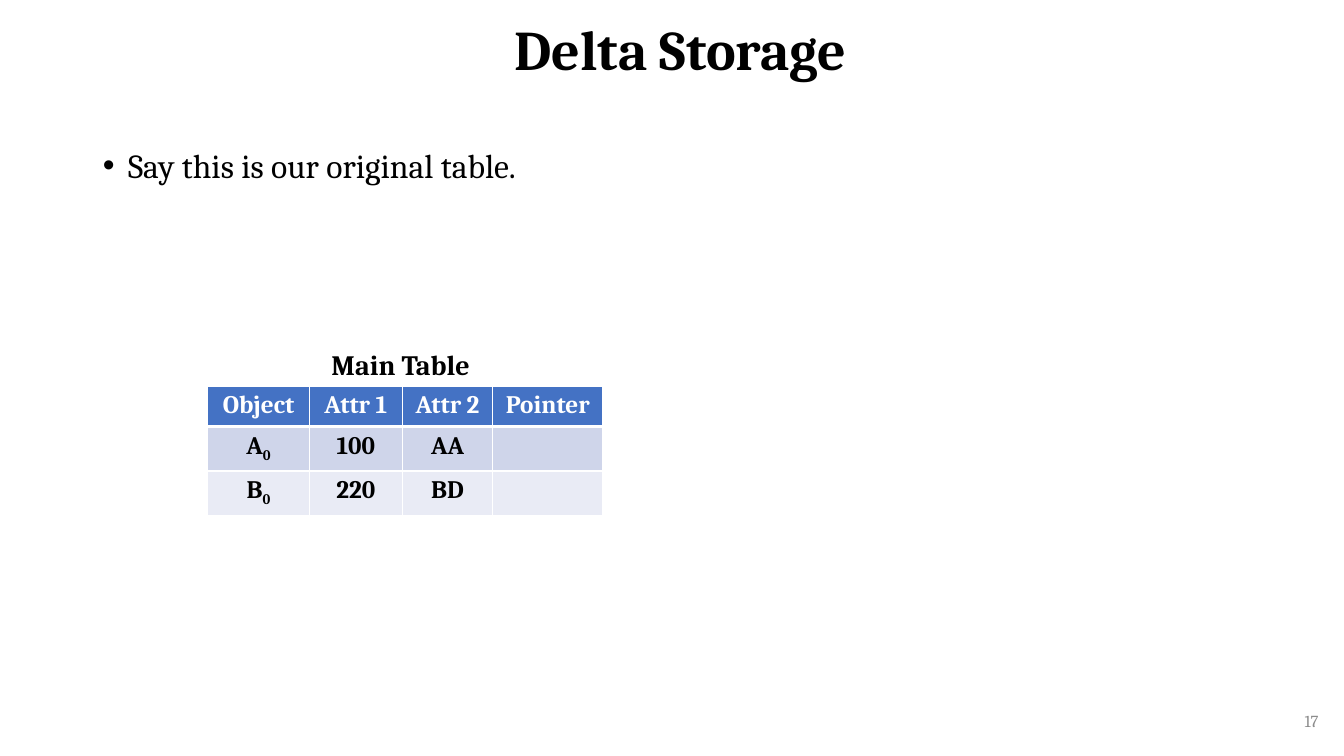
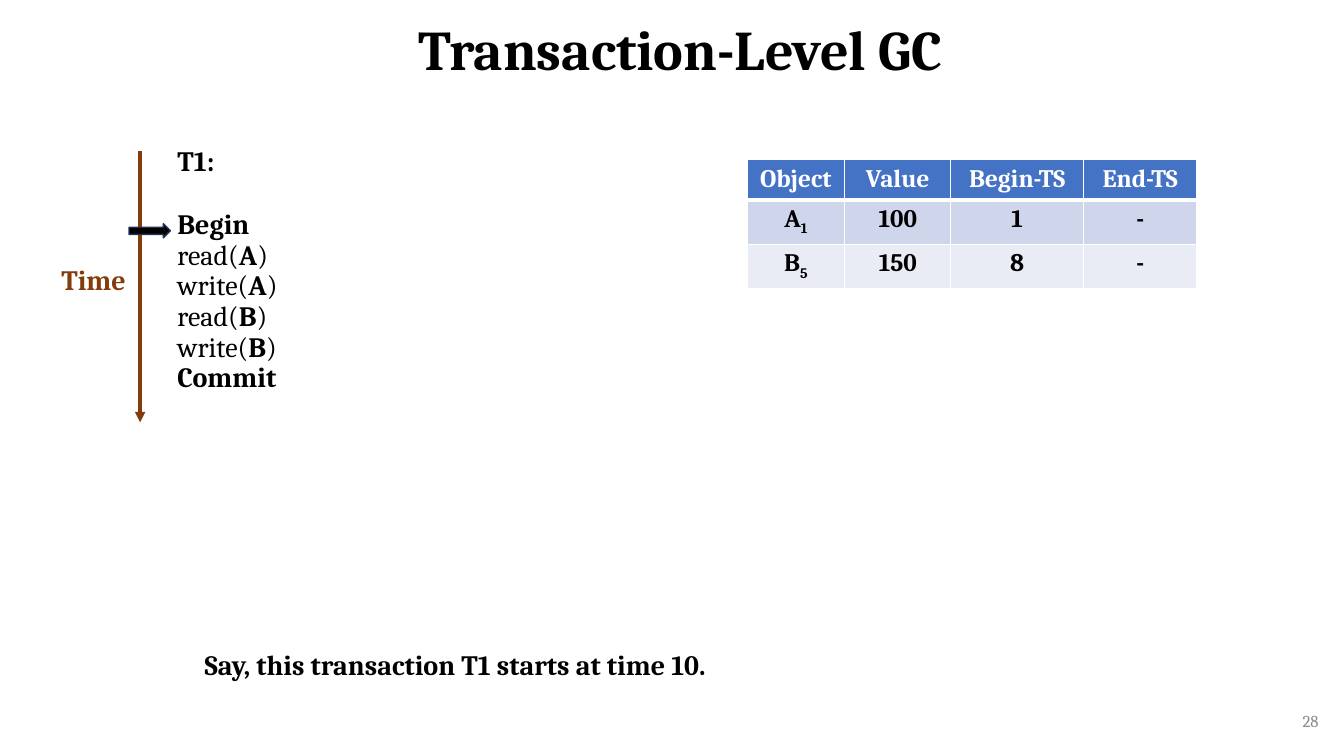
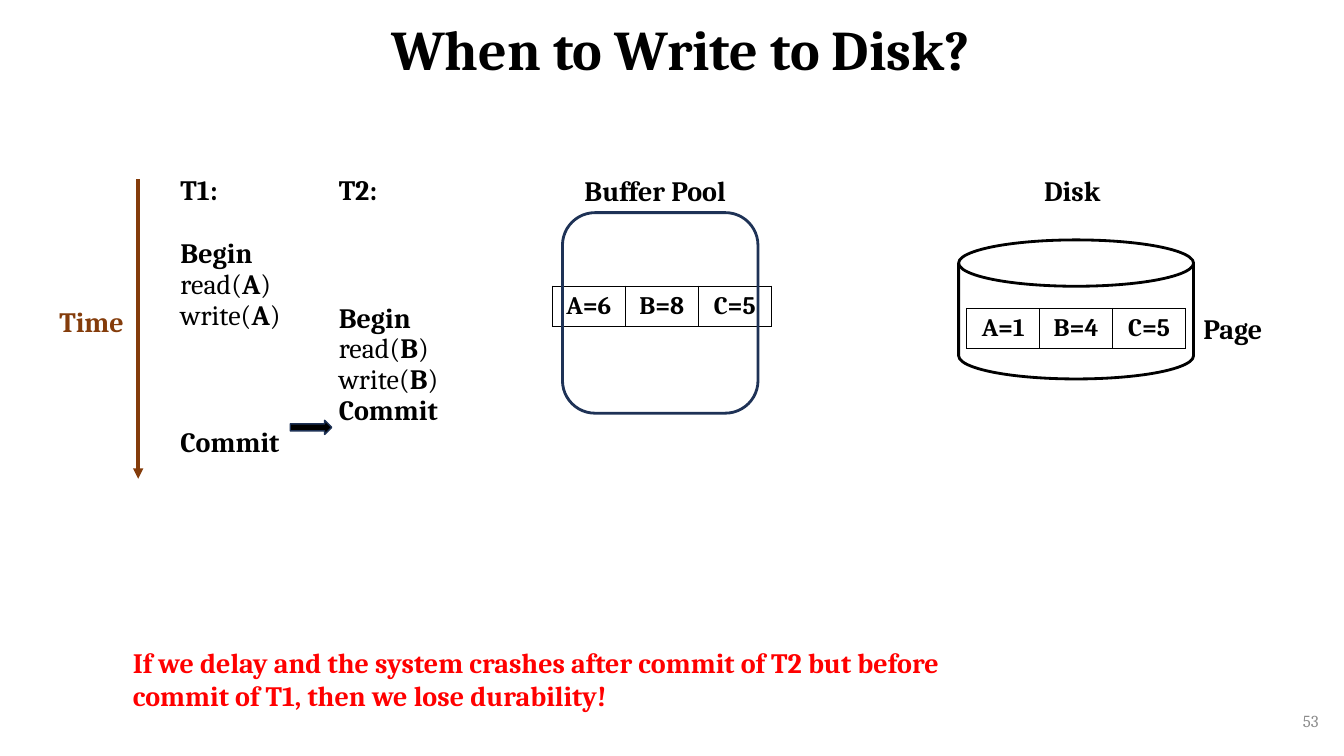
from lxml import etree
from pptx import Presentation
from pptx import util as u
from pptx.dml.color import RGBColor
from pptx.enum import shapes, text
from pptx.oxml import ns

# Shared look; all positions and sizes are percentages of the slide
WIDTH, HEIGHT = u.Inches(13.333), u.Inches(7.5)
FONT = "Cambria"
BLACK, WHITE, GREY, RED = "000000", "FFFFFF", "8C8C8C", "FF0000"
BLUE, BANDS = "4472C4", ("CFD5EA", "E9EBF5")
BROWN, NAVY = "843C0B", "1E3256"
TITLE_BOX = (7.5, 0.27, 86.25, 13.2)
NUMBER_BOX = (76.35, 92.67, 22.5, 5.33)
ROW, LABEL_HEIGHT, PAGE_COLUMN = 4.8, 5.87, 5.43
CODE_LINE = 23  # points from one line of a transaction to the next
LEFT, CENTER, RIGHT = text.PP_ALIGN.LEFT, text.PP_ALIGN.CENTER, text.PP_ALIGN.RIGHT


def rgb(hex_color):
    return RGBColor.from_string(hex_color)


def across(share):
    return round(WIDTH * share / 100)


def down(share):
    return round(HEIGHT * share / 100)


def place(box):
    x, y, w, h = box
    return across(x), down(y), across(w), down(h)


def apply(target, **values):
    for name, value in values.items():
        setattr(target, name, value)


def add_element(parent, tag, **attributes):
    return etree.SubElement(parent, ns.qn(tag), attributes)


# Text: *bold* parts, and an underscore before a subscript
def write(paragraph, line, size, color=BLACK, align=LEFT, spacing=1.0, before=0):
    apply(paragraph, alignment=align, line_spacing=spacing, space_before=u.Pt(before))
    for position, part in enumerate(line.split("*")):
        base, _, subscript = part.partition("_")
        for piece, shift in ((base, None), (subscript, "-25000")):
            if not piece:
                continue
            run = paragraph.add_run()
            run.text = piece
            apply(run.font, name=FONT, size=u.Pt(size), bold=position % 2 == 1)
            run.font.color.rgb = rgb(color)
            if shift:
                run.font._element.set("baseline", shift)


def label(slide, box, line, size=20, color=BLACK, align=LEFT, wrap=False,
          anchor=text.MSO_ANCHOR.TOP):
    frame = slide.shapes.add_textbox(*place(box)).text_frame
    apply(frame, word_wrap=wrap, vertical_anchor=anchor)
    write(frame.paragraphs[0], line, size, color, align)


# Tables
def set_borders(cell, color, bottom=1):
    properties = cell._tc.get_or_add_tcPr()
    for side in "LRTB":
        points = bottom if side == "B" else 1
        edge = add_element(properties, f"a:ln{side}", w=str(u.Pt(points)))
        if color:
            fill = add_element(edge, "a:solidFill")
            add_element(fill, "a:srgbClr", val=color)
        else:
            add_element(edge, "a:noFill")


def add_grid(slide, x, y, columns, rows, row_height=ROW):
    box = (x, y, sum(columns), row_height * rows)
    grid = slide.shapes.add_table(rows, len(columns), *place(box)).table
    apply(grid, first_row=False, horz_banding=False)
    for column, width in zip(grid.columns, columns):
        column.width = across(width)
    return grid


def record_table(slide, x, y, columns, records):
    grid = add_grid(slide, x, y, columns, len(records))
    for r, record in enumerate(records):
        header = r == 0
        for c, value in enumerate(record):
            cell = grid.cell(r, c)
            set_borders(cell, WHITE, 3 if header else 1)
            cell.fill.solid()
            cell.fill.fore_color.rgb = rgb(BLUE if header else BANDS[(r - 1) % 2])
            if value:
                write(cell.text_frame.paragraphs[0], f"*{value}*", 18,
                      WHITE if header else BLACK, CENTER)


def page_table(slide, x, y, values):
    grid = add_grid(slide, x, y, [PAGE_COLUMN] * len(values), 1)
    for c, value in enumerate(values):
        cell = grid.cell(0, c)
        set_borders(cell, BLACK)
        cell.fill.background()
        write(cell.text_frame.paragraphs[0], f"*{value}*", 18, align=CENTER)


# Shapes
def outline(slide, kind, box, line, points, fill=None):
    shape = slide.shapes.add_shape(kind, *place(box))
    shape.shadow.inherit = False
    if fill:
        shape.fill.solid()
        shape.fill.fore_color.rgb = rgb(fill)
    else:
        shape.fill.background()
    shape.line.color.rgb = rgb(line)
    shape.line.width = u.Pt(points)


def step_marker(slide, x, y):
    outline(slide, shapes.MSO_SHAPE.RIGHT_ARROW, (x, y, 3.08, 1.87), NAVY, 1, BLACK)


def time_axis(slide, x, top, bottom):
    axis = slide.shapes.add_connector(shapes.MSO_CONNECTOR.STRAIGHT, across(x), down(top),
                                      across(x), down(bottom))
    axis.line.color.rgb = rgb(BROWN)
    axis.line.width = u.Pt(2.5)
    add_element(axis.line._get_or_add_ln(), "a:tailEnd", type="triangle")
    add_element(axis._element.spPr, "a:effectLst")
    middle = (top + bottom) / 2
    label(slide, (x - 6.6, middle - 3.86, 6.68, LABEL_HEIGHT), "*Time*", color=BROWN, wrap=True)


# Transactions side by side; each step is (idle lines before it, its text)
def schedule(slide, box, transactions, axis):
    x, y, w, h = box
    columns = [w / len(transactions)] * len(transactions)
    grid = add_grid(slide, x, y, columns, 1, h)
    for c, steps in enumerate(transactions):
        cell = grid.cell(0, c)
        set_borders(cell, None)
        cell.fill.background()
        frame = cell.text_frame
        for i, (idle, step) in enumerate(steps):
            paragraph = frame.add_paragraph() if i else frame.paragraphs[0]
            write(paragraph, step, 20, spacing=0.95, before=idle * CODE_LINE)
    time_axis(slide, *axis)


# A named store with the page it holds; offsets are from the store's corner
def storage(slide, box, kind, line, name, name_at, name_width, page_at, values):
    x, y = box[:2]
    page_table(slide, x + page_at[0], y + page_at[1], values)
    outline(slide, kind, box, line, 2)
    label(slide, (x + name_at[0], y + name_at[1], name_width, LABEL_HEIGHT), f"*{name}*")


# Slide frame: title and number
def new_slide(deck, layout, title, number):
    slide = deck.slides.add_slide(deck.slide_layouts[layout])
    heading = slide.shapes.title
    fill_placeholder(heading, TITLE_BOX, text.MSO_ANCHOR.MIDDLE)
    write(heading.text_frame.paragraphs[0], f"*{title}*", 40, align=CENTER, spacing=0.9)
    label(slide, NUMBER_BOX, str(number), 12, GREY, RIGHT, True, text.MSO_ANCHOR.MIDDLE)
    return slide


def fill_placeholder(holder, box, anchor):
    left, top, width, height = place(box)
    apply(holder, left=left, top=top, width=width, height=height)
    apply(holder.text_frame, auto_size=text.MSO_AUTO_SIZE.NONE, vertical_anchor=anchor,
          word_wrap=True)


def bullet_list(slide, box, lines):
    body = slide.placeholders[1]
    fill_placeholder(body, box, text.MSO_ANCHOR.TOP)
    frame = body.text_frame
    for i, line in enumerate(lines):
        paragraph = frame.add_paragraph() if i else frame.paragraphs[0]
        properties = paragraph._p.get_or_add_pPr()
        properties.set("marL", str(u.Inches(0.25)))
        properties.set("indent", str(-u.Inches(0.25)))
        add_element(properties, "a:buFont", typeface="Arial")
        add_element(properties, "a:buChar", char="•")
        write(paragraph, line, 24, spacing=0.9, before=10 if i else 0)


def delta_storage(deck):
    slide = new_slide(deck, 1, "Delta Storage", 17)
    bullet_list(slide, (6.9, 19.07, 84.9, 9.33), ["Say this is our original table."])
    record_table(slide, 15.45, 51.07, [7.58, 6.9, 6.75, 8.18], [
        ("Object", "Attr 1", "Attr 2", "Pointer"),
        ("A_0", "100", "AA", ""),
        ("B_0", "220", "BD", ""),
    ])
    label(slide, (23.93, 45.33, 12.45, LABEL_HEIGHT), "*Main Table*")


def transaction_gc(deck):
    slide = new_slide(deck, 5, "Transaction-Level GC", 28)
    record_table(slide, 55.58, 21.07, [7.28, 7.88, 9.9, 8.4], [
        ("Object", "Value", "Begin-TS", "End-TS"),
        ("A_1", "100", "1", "-"),
        ("B_5", "150", "8", "-"),
    ])
    label(slide, (14.48, 84.93, 39.53, LABEL_HEIGHT),
          "*Say, this transaction T1 starts at time 10.*")
    t1 = [(0, "*T1:*"), (1, "*Begin*"), (0, "read(*A*)"), (0, "write(*A*)"),
          (0, "read(*B*)"), (0, "write(*B*)"), (0, "*Commit*")]
    schedule(slide, (12.45, 18.8, 16.28, 44.8), [t1], (10.43, 20, 55.87))
    step_marker(slide, 9.6, 29.6)


def write_to_disk(deck):
    slide = new_slide(deck, 5, "When to Write to Disk?", 53)
    t1 = [(0, "*T1:*"), (1, "*Begin*"), (0, "read(*A*)"), (0, "write(*A*)"), (3, "*Commit*")]
    t2 = [(0, "*T2:*"), (3, "*Begin*"), (0, "read(*B*)"), (0, "write(*B*)"), (0, "*Commit*")]
    schedule(slide, (12.68, 22.67, 23.56, 44.8), [t1, t2], (10.28, 23.73, 63.33))
    step_marker(slide, 21.6, 55.6)
    storage(slide, (71.33, 31.73, 17.48, 18.4), shapes.MSO_SHAPE.FLOWCHART_MAGNETIC_DISK, BLACK,
            "Disk", (5.62, -9.46), 6.15, (0.6, 9.07), ("A=1", "B=4", "C=5"))
    label(slide, (88.8, 40.53, 6.08, LABEL_HEIGHT), "*Page*")
    storage(slide, (41.85, 28.13, 14.55, 26.53), shapes.MSO_SHAPE.ROUNDED_RECTANGLE, NAVY,
            "Buffer Pool", (0.9, -5.86), 12.53, (-0.75, 9.74), ("A=6", "B=8", "C=5"))
    label(slide, (9.15, 84.67, 68.4, 10.27),
          "*If we delay and the system crashes after commit of T2 but before "
          "commit of T1, then we lose durability!*", color=RED, wrap=True)


def main():
    deck = Presentation()
    apply(deck, slide_width=WIDTH, slide_height=HEIGHT)
    for build in (delta_storage, transaction_gc, write_to_disk):
        build(deck)
    deck.save("out.pptx")


if __name__ == "__main__":
    main()
